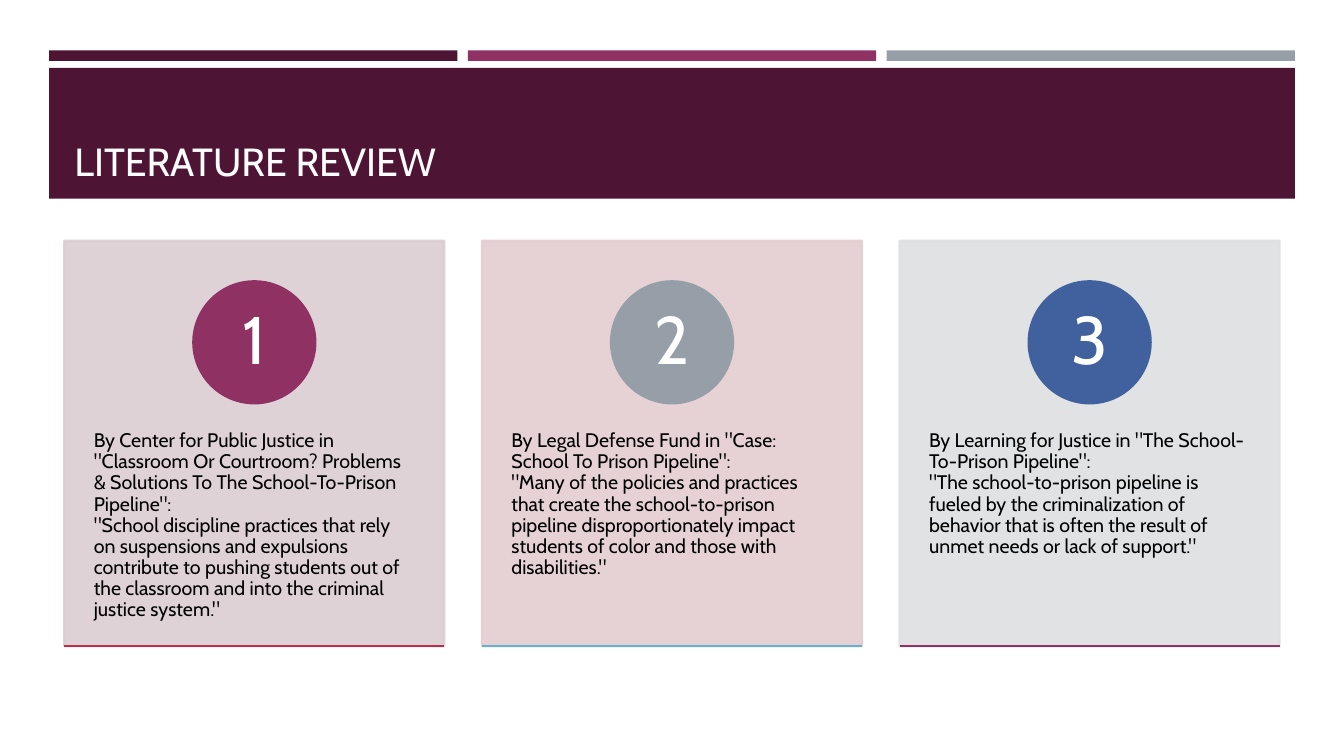
from copy import deepcopy
from lxml.etree import SubElement
from pptx import Presentation
from pptx.dml.color import RGBColor
from pptx.enum.shapes import MSO_CONNECTOR, MSO_SHAPE
from pptx.enum.text import MSO_ANCHOR, MSO_AUTO_SIZE, PP_ALIGN
from pptx.oxml.ns import qn
from pptx.util import Pt

PLUM = RGBColor(0x4D, 0x14, 0x34)
MAGENTA = RGBColor(0x90, 0x31, 0x63)
GREY = RGBColor(0x96, 0x9F, 0xA7)
BLUE = RGBColor(0x40, 0x61, 0x9D)
RED = RGBColor(0xB2, 0x32, 0x4B)
SKY = RGBColor(0x66, 0xB1, 0xCE)
MAUVE_TINT = RGBColor(0xDB, 0xCE, 0xD3)
ROSE_TINT = RGBColor(0xE4, 0xCE, 0xD0)
GREY_TINT = RGBColor(0xDD, 0xDF, 0xE1)
TITLE_WHITE = RGBColor(0xFF, 0xFE, 0xFF)
WHITE = RGBColor(0xFF, 0xFF, 0xFF)
BLACK = RGBColor(0, 0, 0)
FONT = "Cabin"

REVIEWS = [
    ("By Center for Public Justice in \"Classroom Or Courtroom? Problems & Solutions To The "
     "School-To-Prison Pipeline\":\v\"School discipline practices that rely on suspensions and "
     "expulsions contribute to pushing students out of the classroom and into the criminal "
     "justice system.\"", MAUVE_TINT, MAGENTA, RED),
    ("By Legal Defense Fund in \"Case: School To Prison Pipeline\":\v\"Many of the policies and "
     "practices that create the school-to-prison pipeline disproportionately impact students of "
     "color and those with disabilities.\"", ROSE_TINT, GREY, SKY),
    ("By Learning for Justice in \"The School-To-Prison Pipeline\":\v\"The school-to-prison "
     "pipeline is fueled by the criminalization of behavior that is often the result of unmet "
     "needs or lack of support.\"", GREY_TINT, BLUE, MAGENTA),
]


def set_attrs(obj, values):
    """Set each attribute of obj from a dict."""
    for name, value in values.items():
        setattr(obj, name, value)


def add_block(s, kind, box, color, outlined=False, alpha=None):
    """Add a filled shape, optionally outlined in its colour and translucent."""
    sp = s.shapes.add_shape(kind, *map(Pt, box))
    sp.shadow.inherit = False
    sp.fill.solid()
    sp.fill.fore_color.rgb = color
    if outlined:
        sp.line.color.rgb = color
        sp.line.width = Pt(1.75)
    else:
        sp.line.fill.background()
    if alpha:
        for clr in sp._element.spPr.iter(qn("a:srgbClr")):
            SubElement(clr, qn("a:alpha"), val=str(alpha * 1000))
    return sp


def write(tf, text, size, color, frame, para):
    """Write one paragraph in the given frame and paragraph format."""
    set_attrs(tf, {"word_wrap": True, "auto_size": MSO_AUTO_SIZE.NONE, **frame})
    p = tf.paragraphs[0]
    p.text = text
    set_attrs(p, para)
    for r in p.runs:
        set_attrs(r.font, {"name": FONT, "size": Pt(size)})
        r.font.color.rgb = color
    for br in p._p.findall(qn("a:br")):
        br.append(deepcopy(p.runs[0].font._element))


def add_header(s, x, y, w):
    """Draw the three bars, the title band and the title."""
    gap = 7.5
    bar_w = (w - 2 * gap) / 3
    for i, color in enumerate((PLUM, MAGENTA, GREY)):
        add_block(s, MSO_SHAPE.RECTANGLE, (x + i * (bar_w + gap), y, bar_w, 7.5), color)
    add_block(s, MSO_SHAPE.RECTANGLE, (x, y + 12.5, w, 93.5), PLUM)
    title = s.shapes.title
    set_attrs(title, {"left": Pt(x + 11), "top": Pt(y + 19.4),
                      "width": Pt(w - 22), "height": Pt(80)})
    write(title.text_frame, "LITERATURE REVIEW", 28, TITLE_WHITE,
          {"vertical_anchor": MSO_ANCHOR.BOTTOM},
          {"alignment": PP_ALIGN.LEFT, "line_spacing": 0.9})
    s.shapes._spTree.append(title._element)


def add_card(s, box, number, review):
    """Draw one numbered review card with its base line."""
    x, y, w, h = box
    text, tint, accent, base = review
    add_block(s, MSO_SHAPE.RECTANGLE, box, tint, True, 90)

    tb = s.shapes.add_textbox(Pt(x), Pt(y + 109.5), Pt(w), Pt(173.5))
    write(tb.text_frame, text, 14, BLACK,
          {"margin_left": Pt(21), "margin_right": Pt(21),
           "margin_top": Pt(26), "margin_bottom": Pt(26)},
          {"line_spacing": 0.9})

    d, side = 87, 61
    mid = x + w / 2
    add_block(s, MSO_SHAPE.OVAL, (mid - d / 2, y + 29, d, d), accent, True)
    tb = s.shapes.add_textbox(Pt(mid - side / 2), Pt(y + 29 + (d - side) / 2), Pt(side), Pt(side))
    write(tb.text_frame, str(number), 48, WHITE,
          {"margin_left": Pt(6.5), "margin_right": Pt(6.5), "margin_top": Pt(1),
           "margin_bottom": Pt(1), "vertical_anchor": MSO_ANCHOR.MIDDLE},
          {"alignment": PP_ALIGN.CENTER, "line_spacing": 0.9})

    line = s.shapes.add_connector(MSO_CONNECTOR.STRAIGHT, Pt(x), Pt(y + h), Pt(x + w), Pt(y + h))
    line.line.color.rgb = base
    line.line.width = Pt(1.75)
    SubElement(line._element.spPr, qn("a:effectLst"))


def add_cards(s, x, y, w, h):
    """Spread the review cards evenly over the box."""
    gap = 27
    card_w = (w - 2 * gap) / 3
    for i, review in enumerate(REVIEWS):
        add_card(s, (x + i * (card_w + gap), y, card_w, h), i + 1, review)


def main():
    """Build and save the slide."""
    prs = Presentation()
    set_attrs(prs, {"slide_width": Pt(960), "slide_height": Pt(540)})
    s = prs.slides.add_slide(prs.slide_layouts[5])
    add_header(s, 35, 36, 890)
    add_cards(s, 46, 172, 868, 289.5)
    prs.save("out.pptx")


if __name__ == "__main__":
    main()
